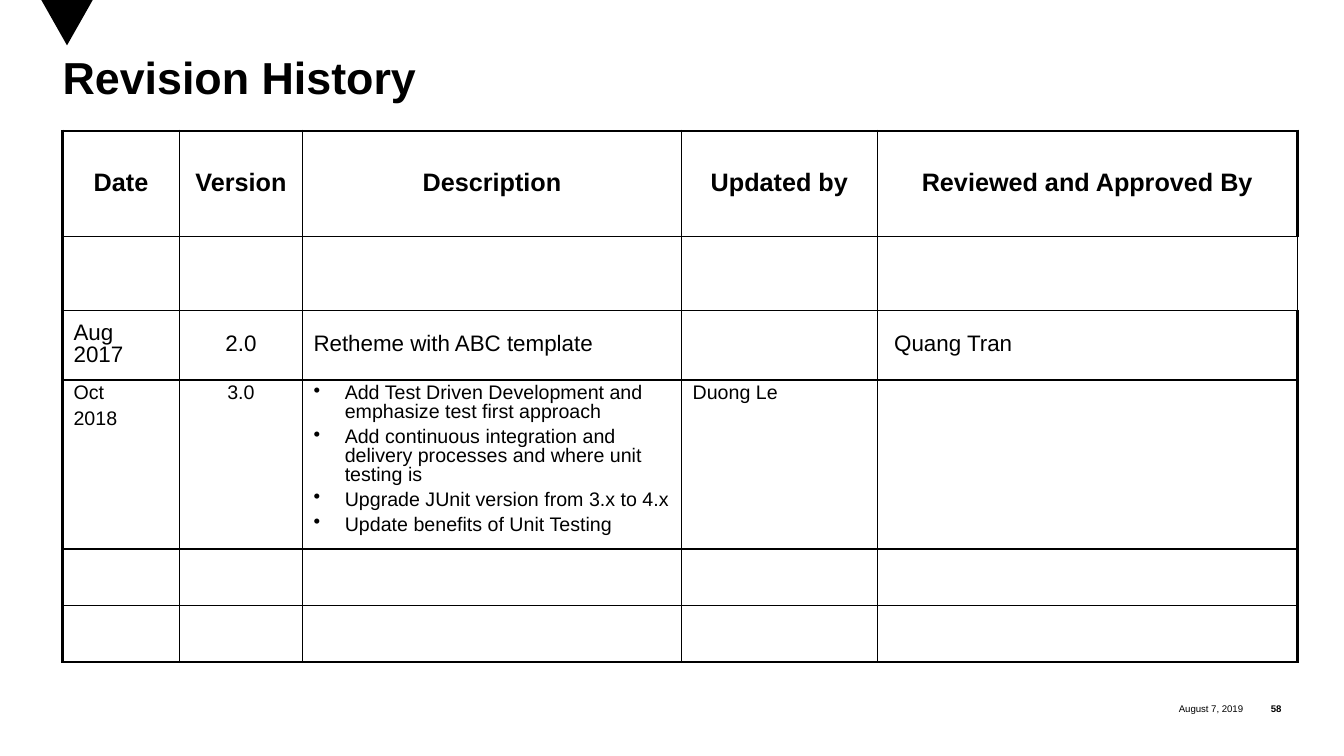
from pptx import Presentation
from pptx.dml.color import RGBColor
from pptx.enum.shapes import MSO_SHAPE as Shape
from pptx.enum.text import MSO_ANCHOR as Anchor, PP_ALIGN as Align
from pptx.oxml.ns import qn
from pptx.util import Inches, Pt
from lxml.etree import SubElement as Sub

BLACK = RGBColor(0, 0, 0)
THIN, THICK = Pt(1), Pt(2.25)


def write(frame, lines, size, bold=False, align=Align.LEFT, space=0.85):
    """Fill a text frame with one paragraph per line."""
    frame.text = "\n".join(lines)
    for i, par in enumerate(frame.paragraphs):
        par.alignment = align
        par.line_spacing = space
        if i:
            par.space_before = Pt(round(size * 0.32, 1))
        look = {"name": "Arial", "size": Pt(size), "bold": bold}
        for key, value in look.items():
            setattr(par.font, key, value)
        par.font.color.rgb = BLACK


def edge(cell, side, width):
    """Draw one border of a cell."""
    line = Sub(cell._tc.get_or_add_tcPr(), qn("a:ln" + side), w=str(width))
    fill = Sub(line, qn("a:solidFill"))
    Sub(fill, qn("a:srgbClr"), val=str(BLACK))


deck = Presentation()
deck.slide_width, deck.slide_height = Inches(13.33), Inches(7.5)
slide = deck.slides.add_slide(deck.slide_layouts[6])

# Corner triangle
mark = slide.shapes.add_shape(
    Shape.FLOWCHART_MERGE, Inches(0.41), 0, Inches(0.51), Inches(0.45))
mark.shadow.inherit = False
mark.fill.solid()
mark.fill.fore_color.rgb = BLACK
mark.line.fill.background()

# Title and footer
labels = [
    ("Revision History", (0.62, 0.58, 12.08, 0.6), 32, True,
     Align.LEFT, Anchor.TOP, 0.85),
    ("August 7, 2019", (10.84, 6.91, 1.49, 0.25), 6.9, False,
     Align.RIGHT, Anchor.MIDDLE, 1.0),
    ("58", (12.33, 6.91, 0.38, 0.25), 6.9, True,
     Align.RIGHT, Anchor.MIDDLE, 1.0),
]
for text, place, size, bold, align, anchor, space in labels:
    frame = slide.shapes.add_textbox(*map(Inches, place)).text_frame
    form = {"word_wrap": True, "vertical_anchor": anchor, "margin_left": 0,
            "margin_right": 0, "margin_top": 0, "margin_bottom": 0}
    for key, value in form.items():
        setattr(frame, key, value)
    write(frame, [text], size, bold, align, space)

# Revision table
widths = [1.16, 1.22, 3.76, 1.94, 4.17]
heights = [1.05, 0.73, 0.69, 1.61, 0.56, 0.56]
heads = ["Date", "Version", "Description", "Updated by",
         "Reviewed and Approved By"]
changes = [
    "Add Test Driven Development and emphasize test first approach",
    "Add continuous integration and delivery processes and where unit "
    "testing is",
    "Upgrade JUnit version from 3.x to 4.x",
    "Update benefits of Unit Testing",
]
blank = [[]] * 5
rows = [
    ([[head] for head in heads], 18, Anchor.MIDDLE),
    (blank, 14, Anchor.TOP),
    ([["Aug 2017"], ["2.0"], ["Retheme with ABC template"], [],
      ["Quang Tran"]], 16, Anchor.MIDDLE),
    ([["Oct", "2018"], ["3.0"], changes, ["Duong Le"], []], 14, Anchor.TOP),
    (blank, 14, Anchor.TOP),
    (blank, 14, Anchor.TOP),
]
table = slide.shapes.add_table(
    len(rows), len(widths), Inches(0.62), Inches(1.3),
    Inches(sum(widths)), Inches(sum(heights))).table
table.first_row = table.horz_banding = False
for col, width in zip(table.columns, widths):
    col.width = Inches(width)

for r, (texts, size, anchor) in enumerate(rows):
    table.rows[r].height = Inches(heights[r])
    for c, lines in enumerate(texts):
        cell = table.cell(r, c)
        last = c == len(widths) - 1
        edge(cell, "L", THICK if c == 0 else THIN)
        edge(cell, "R", THICK if last and r != 1 else THIN)
        edge(cell, "T", THICK if r == 0 else THIN)
        edge(cell, "B", THIN)
        cell.fill.background()
        form = {"vertical_anchor": anchor, "margin_right": Inches(0.11),
                "margin_left": Inches(0.17 if last and r else 0.11),
                "margin_top": Inches(0.05), "margin_bottom": Inches(0.05)}
        for key, value in form.items():
            setattr(cell, key, value)
        align = Align.CENTER if r == 0 or c == 1 else Align.LEFT
        write(cell.text_frame, lines, size, r == 0, align)

# Bullets of the change list
for par in table.cell(3, 2).text_frame.paragraphs:
    props = par._p.get_or_add_pPr()
    props.set("marL", str(Inches(0.31)))
    props.set("indent", str(Inches(-0.31)))
    bullet = props.makeelement(qn("a:buChar"), {"char": "•"})
    props.insert_element_before(bullet, "a:tabLst", "a:defRPr", "a:extLst")

deck.save("out.pptx")
